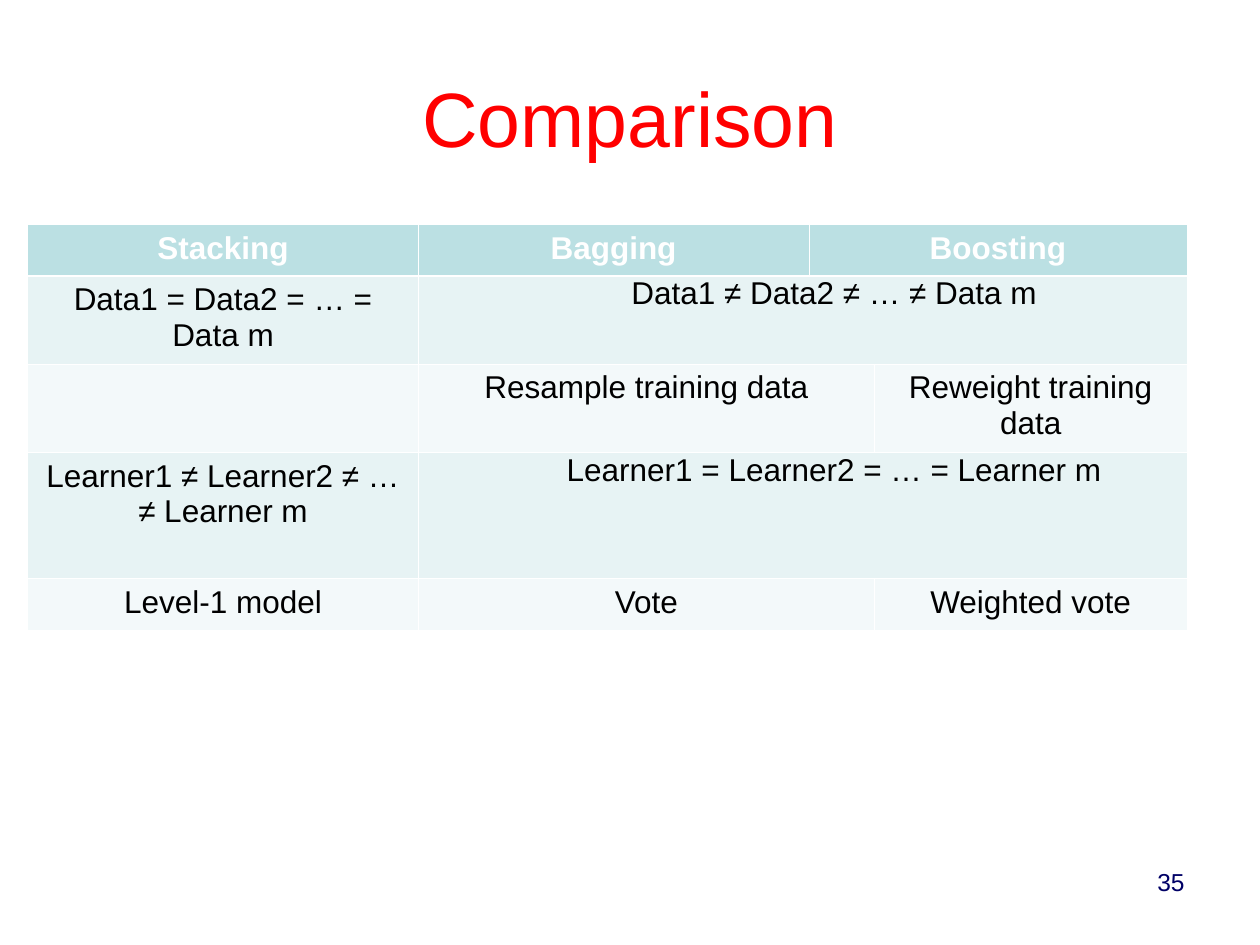
from lxml import etree
from pptx import Presentation
from pptx import util as u
from pptx.dml.color import RGBColor
from pptx.enum import text
from pptx.oxml import ns

RED = RGBColor(0xFF, 0x00, 0x00)
NAVY = RGBColor(0x00, 0x00, 0x66)
BLACK = RGBColor(0x00, 0x00, 0x00)
WHITE = RGBColor(0xFF, 0xFF, 0xFF)
TEAL = RGBColor(0xBB, 0xE0, 0xE3)
PALE = RGBColor(0xE7, 0xF3, 0xF4)
LIGHT = RGBColor(0xF3, 0xF9, 0xFA)

COLS = [3.1, 3.1, 0.52, 2.48]
ROWS = [0.41, 0.7, 0.7, 1, 0.41]
CELLS = [
    [("Stacking", 1), ("Bagging", 1), ("Boosting", 2)],
    [("Data1 = Data2 = … = Data m", 1), ("Data1 ≠ Data2 ≠ … ≠ Data m", 3)],
    [("", 1), ("Resample training data", 2), ("Reweight training data", 1)],
    [("Learner1 ≠ Learner2 ≠ … ≠ Learner m", 1),
     ("Learner1 = Learner2 = … = Learner m", 3)],
    [("Level-1 model", 1), ("Vote", 2), ("Weighted vote", 1)],
]


def place(shape, box):
    shape.left, shape.top, shape.width, shape.height = map(u.Inches, box)


def write(frame, words, size, color, align, bold=False):
    frame.text = words
    para = frame.paragraphs[0]
    para.alignment = align
    for run in para.runs:
        font = run.font
        font.name, font.size, font.bold = "Arial", u.Pt(size), bold
        font.color.rgb = color
    return para


def add_title(slide, box):
    title = slide.shapes.title
    place(title, box)
    frame = title.text_frame
    frame.vertical_anchor = text.MSO_ANCHOR.MIDDLE
    write(frame, "Comparison", 44, RED, text.PP_ALIGN.CENTER)


def add_edges(cell, top, base):
    props = cell._tc.get_or_add_tcPr()
    for side, width in zip("LRTB", (0.45, 0.45, top, base)):
        line = etree.SubElement(props, ns.qn("a:ln" + side), w=str(u.Pt(width)))
        fill = etree.SubElement(line, ns.qn("a:solidFill"))
        etree.SubElement(fill, ns.qn("a:srgbClr"), val=str(WHITE))


def fill_cell(cell, words, row, span):
    head = row == 0
    para = write(cell.text_frame, words, 18, WHITE if head else BLACK,
                 text.PP_ALIGN.CENTER, head)
    if not words:
        para.font.size = u.Pt(18)
    if span == 3:
        para.line_spacing = 0.8
        props = para._p.get_or_add_pPr()
        props.set("marL", str(u.Inches(0.5)))
        props.set("indent", "0")


def add_grid(slide, box):
    left, top, width, height = map(u.Inches, box)
    frame = slide.shapes.add_table(len(ROWS), len(COLS), left, top, width, height)
    grid = frame.table
    for col, size in zip(grid.columns, COLS):
        col.width = u.Inches(size)
    for row, size in zip(grid.rows, ROWS):
        row.height = u.Inches(size)
    for r, items in enumerate(CELLS):
        shade = TEAL if r == 0 else PALE if r % 2 else LIGHT
        for c in range(len(COLS)):
            cell = grid.cell(r, c)
            add_edges(cell, 1.47 if r == 1 else 0.45, 1.47 if r == 0 else 0.45)
            cell.fill.solid()
            cell.fill.fore_color.rgb = shade
        c = 0
        for words, span in items:
            cell = grid.cell(r, c)
            if span > 1:
                cell.merge(grid.cell(r, c + span - 1))
            fill_cell(cell, words, r, span)
            c += span


def add_number(slide, box):
    shape = slide.shapes.add_textbox(*map(u.Inches, box))
    shape.text_frame.word_wrap = True
    write(shape.text_frame, "35", 14, NAVY, text.PP_ALIGN.RIGHT)


def main():
    deck = Presentation()
    deck.slide_width, deck.slide_height = u.Inches(10), u.Inches(7.5)
    slide = deck.slides.add_slide(deck.slide_layouts[5])
    add_title(slide, (0.5, 0.3, 9, 1.25))
    add_grid(slide, (0.22, 1.78, sum(COLS), sum(ROWS)))
    add_number(slide, (7.17, 6.83, 2.33, 0.52))
    deck.save("out.pptx")


if __name__ == "__main__":
    main()
